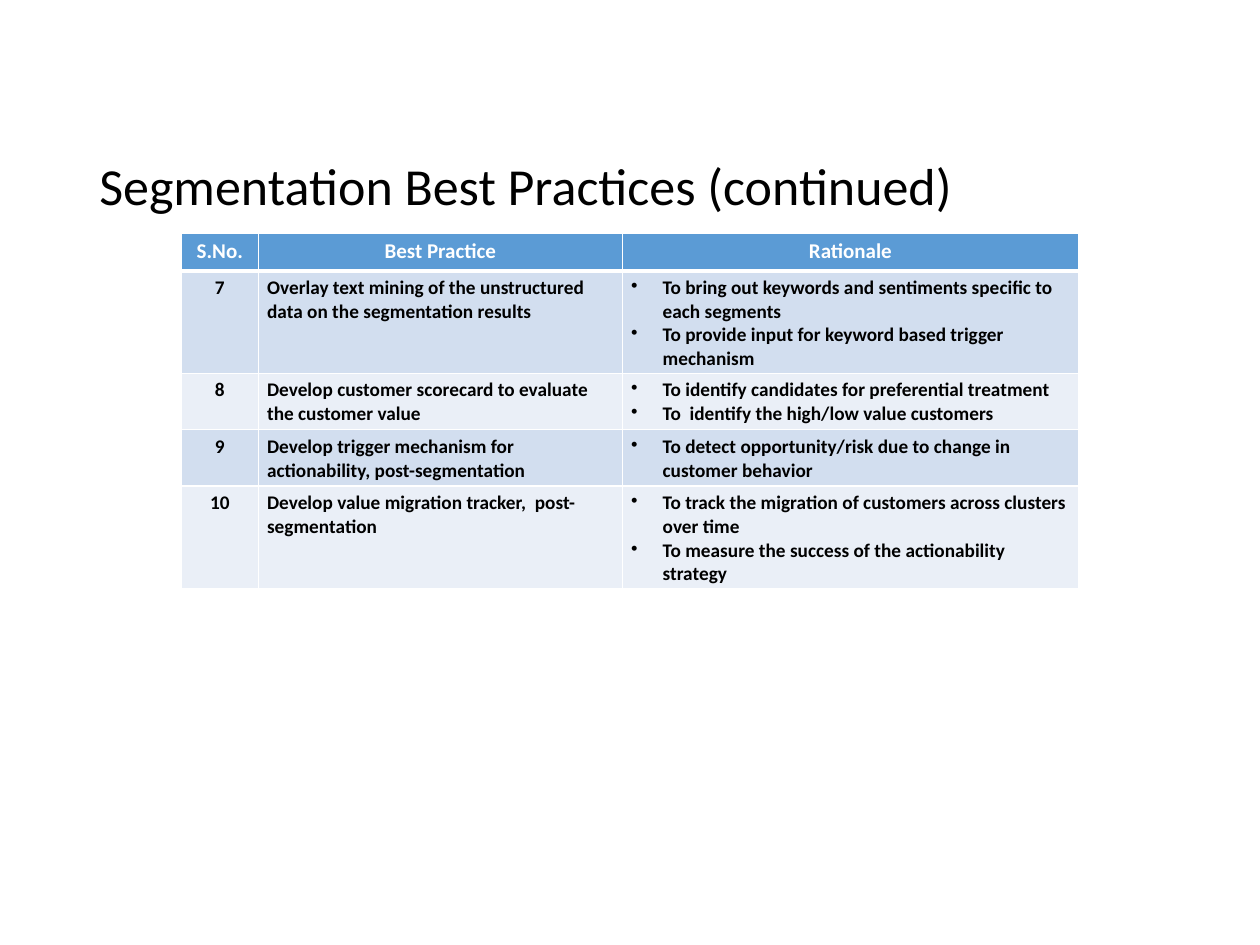
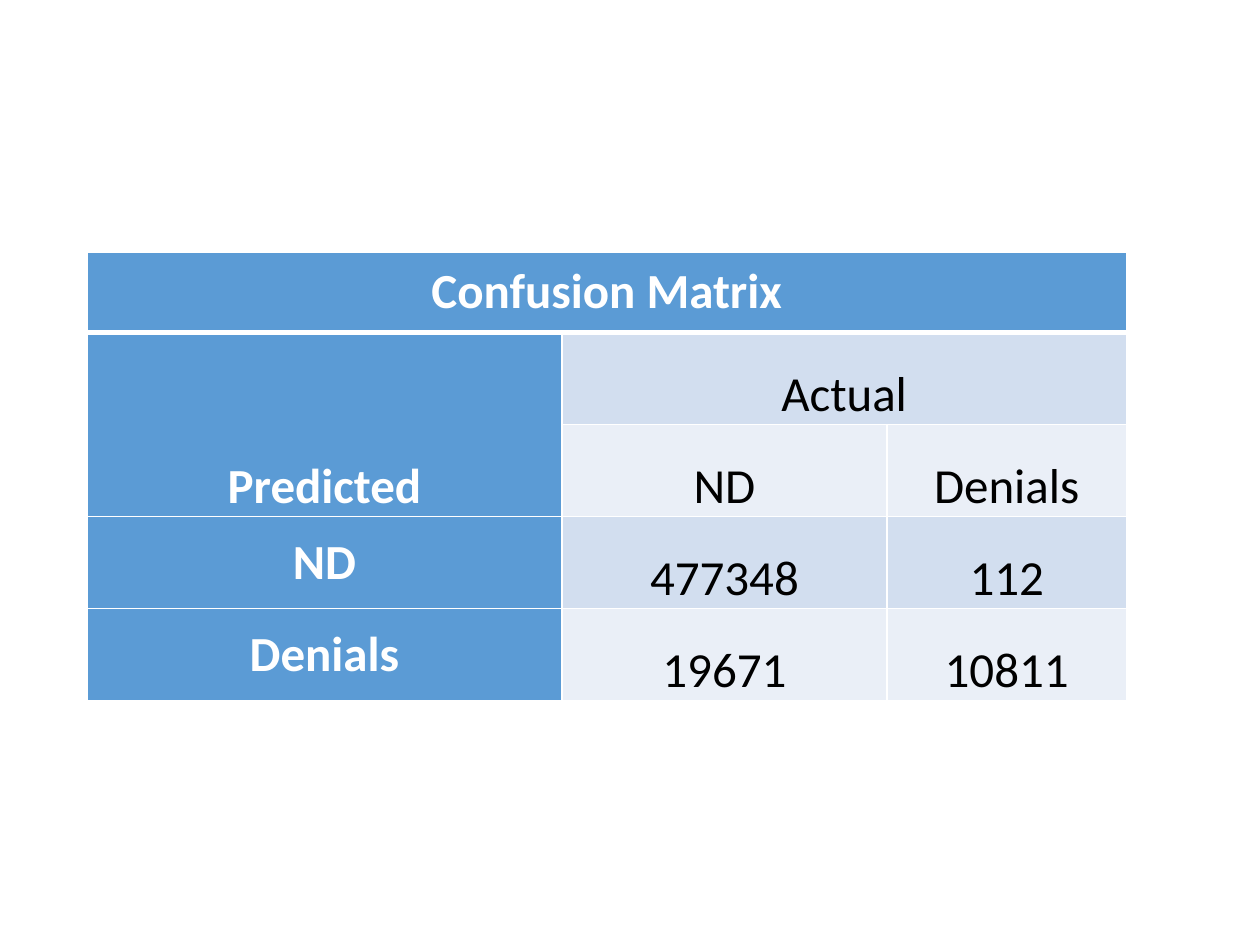
from pptx import Presentation
from pptx.dml.color import RGBColor as RGB
from pptx.enum.text import MSO_ANCHOR as Anchor, PP_ALIGN as Align
from pptx.oxml.xmlchemy import OxmlElement as Node
from pptx.util import Inches, Pt

HUES = {"head": "5B9BD5", "odd": "D2DEEF", "even": "EAEFF7",
        "white": "FFFFFF", "black": "000000"}


def put(frame, text, size=11, hue="black", bold=False, align=Align.LEFT,
        anchor=Anchor.TOP, space=None, dots=False):
    """Write text, one paragraph a line, with the given format."""
    frame.word_wrap = True
    frame.vertical_anchor = anchor
    for i, line in enumerate(text.split("\n")):
        para = frame.paragraphs[0] if i == 0 else frame.add_paragraph()
        para.alignment = align
        if space:
            para.line_spacing = space
        if dots:
            props = para._p.get_or_add_pPr()
            props.set("marL", str(Inches(0.25)))
            props.set("indent", str(-Inches(0.25)))
            mark = Node("a:buChar")
            mark.set("char", "•")
            props.append(mark)
        run = para.add_run()
        run.text = line
        font = run.font
        font.name, font.size, font.bold = "Calibri", Pt(size), bold
        font.color.rgb = RGB.from_string(HUES[hue])


class Deck:
    """Hold the style and the current slide."""

    def __init__(self):
        self.show = Presentation()
        self.show.slide_width, self.show.slide_height = Inches(10), Inches(7.5)

    def page(self):
        self.slide = self.show.slides.add_slide(self.show.slide_layouts[6])

    def title(self, text):
        box = self.slide.shapes.add_textbox(
            Inches(0.69), Inches(1.24), Inches(8.62), Inches(0.51))
        put(box.text_frame, text, size=29.7, anchor=Anchor.MIDDLE, space=0.9)

    def edge(self, cell, row):
        props = cell._tc.get_or_add_tcPr()
        wide = {"L": 1, "R": 1, "T": 3 if row == 1 else 1, "B": 3 if row == 0 else 1}
        for side, width in wide.items():
            line, fill, tint = Node(f"a:ln{side}"), Node("a:solidFill"), Node("a:srgbClr")
            line.set("w", str(Pt(width)))
            tint.set("val", HUES["white"])
            fill.append(tint)
            line.append(fill)
            props.append(line)

    def table(self, left, top, cols, rows, pad, data, style, spans=()):
        grid = self.slide.shapes.add_table(
            len(rows), len(cols), Inches(left), Inches(top),
            Inches(sum(cols)), Inches(sum(rows))).table
        grid.first_row = grid.horz_banding = False
        for col, width in zip(grid.columns, cols):
            col.width = Inches(width)
        for row, height in zip(grid.rows, rows):
            row.height = Inches(height)
        for r, texts in enumerate(data):
            for c, text in enumerate(texts):
                cell = grid.cell(r, c)
                fill, form = style(r, c)
                self.edge(cell, r)
                cell.fill.solid()
                cell.fill.fore_color.rgb = RGB.from_string(HUES[fill])
                cell.margin_left = cell.margin_right = Inches(pad[0])
                cell.margin_top = cell.margin_bottom = Inches(pad[1])
                if text:
                    anchor = form.pop("anchor", Anchor.TOP)
                    put(cell.text_frame, text, **form)
                    cell.vertical_anchor = anchor
        for start, end in spans:
            grid.cell(*start).merge(grid.cell(*end))


def band(row):
    return "odd" if row % 2 else "even"


def listed(row, col):
    if row == 0:
        return "head", dict(size=12, hue="white", bold=True, align=Align.CENTER)
    align = Align.LEFT if col else Align.CENTER
    return band(row), dict(bold=True, align=align, dots=col == 2)


def matrix(row, col):
    head = row == 0 or col == 0
    low = row in (1, 2) or not head
    form = dict(size=28, bold=head, hue="white" if head else "black",
                align=Align.CENTER, anchor=Anchor.BOTTOM if low else Anchor.MIDDLE)
    return "head" if head else band(row), form


def main():
    deck = Deck()
    deck.page()
    deck.title("Segmentation Best Practices (continued)")
    deck.table(1.44, 1.85, [0.61, 2.89, 3.62], [0.3, 0.78, 0.42, 0.42, 0.6], (0.07, 0.04), [
        ("S.No.", "Best Practice", "Rationale"),
        ("7", "Overlay text mining of the unstructured data on the segmentation results",
         "To bring out keywords and sentiments specific to each segments\n"
         "To provide input for keyword based trigger mechanism"),
        ("8", "Develop customer scorecard to evaluate the customer value",
         "To identify candidates for preferential treatment\n"
         "To  identify the high/low value customers"),
        ("9", "Develop trigger mechanism for actionability, post-segmentation",
         "To detect opportunity/risk due to change in customer behavior"),
        ("10", "Develop value migration tracker,  post-segmentation",
         "To track the migration of customers across clusters over time\n"
         "To measure the success of the actionability strategy"),
    ], listed)

    deck.page()
    deck.table(0.69, 2, [3.77, 2.58, 1.9], [0.64] + [0.73] * 4, (0.06, 0), [
        ("Confusion Matrix", "", ""),
        ("Predicted", "Actual", ""),
        ("", "ND", "Denials"),
        ("ND", "477348", "112"),
        ("Denials", "19671", "10811"),
    ], matrix, [((0, 0), (0, 2)), ((1, 0), (2, 0)), ((1, 1), (1, 2))])
    deck.show.save("out.pptx")


if __name__ == "__main__":
    main()
